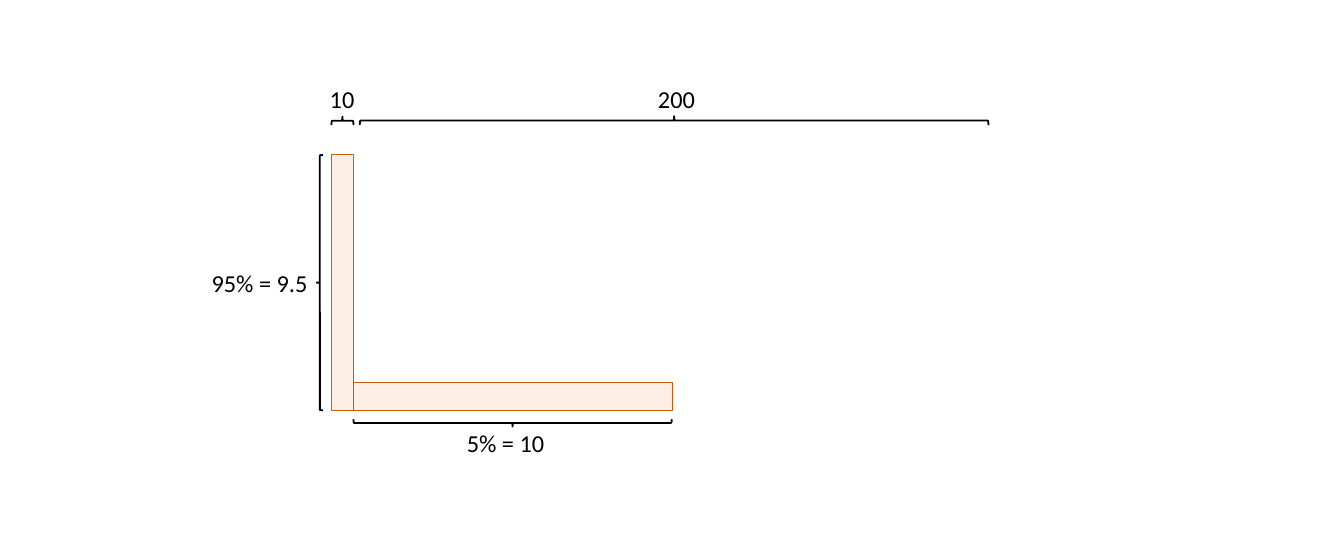
from lxml.etree import SubElement
from pptx import Presentation
from pptx.dml.color import RGBColor
from pptx.enum.shapes import MSO_SHAPE as Preset
from pptx.enum.text import MSO_AUTO_SIZE as AutoSize
from pptx.oxml.ns import qn
from pptx.util import Inches, Pt


def colour(code):
    return RGBColor.from_string(code)


class Diagram:
    """Holds the style and the current slide of the area diagram."""

    font = "Calibri"
    text_size = 33.3
    ink = "000000"
    bar_fill = "F4B183"
    bar_line = "C55A11"
    bar_opacity = 21

    def __init__(self, page):
        self.page = page

    def shape(self, preset, place, line, weight):
        shape = self.page.shapes.add_shape(preset, *map(Inches, place))
        shape.shadow.inherit = False
        shape.line.color.rgb = colour(line)
        shape.line.width = Pt(weight)
        return shape

    def bar(self, *place):
        bar = self.shape(Preset.RECTANGLE, place, self.bar_line, 1)
        bar.fill.solid()
        bar.fill.fore_color.rgb = colour(self.bar_fill)
        tint = bar.fill._xPr.find(qn("a:solidFill"))[0]
        SubElement(tint, qn("a:alpha"), val=str(self.bar_opacity * 1000))

    def brace(self, *place, turn=0):
        brace = self.shape(Preset.LEFT_BRACE, place, self.ink, 2.5)
        brace.fill.background()
        brace.rotation = turn

    def label(self, text, left, top, width, height=0.66):
        box = self.page.shapes.add_textbox(*map(Inches, (left, top, width, height)))
        frame = box.text_frame
        frame.word_wrap = True
        frame.auto_size = AutoSize.SHAPE_TO_FIT_TEXT
        run = frame.paragraphs[0].add_run()
        run.text = text
        run.font.name = self.font
        run.font.size = Pt(self.text_size)
        run.font.color.rgb = colour(self.ink)


def main():
    deck = Presentation()
    deck.slide_width = Inches(25.59)
    deck.slide_height = Inches(10.24)
    diagram = Diagram(deck.slides.add_slide(deck.slide_layouts[6]))

    diagram.bar(6.31, 2.93, 0.42, 4.88)
    diagram.brace(6.44, 2.09, 0.16, 0.42, turn=90)
    diagram.label("10", 6.18, 1.56, 0.84)
    diagram.brace(12.75, -3.69, 0.17, 11.97, turn=90)
    diagram.label("200", 12.43, 1.56, 1.12)
    diagram.brace(6.03, 2.95, 0.12, 4.86)
    diagram.label("95% = 9.5", 3.93, 5.06, 2.08)
    diagram.bar(6.73, 7.28, 6.07, 0.53)
    diagram.brace(9.69, 5.02, 0.14, 6.06, turn=270)
    diagram.label("5% = 10", 8.79, 8.11, 2.08)

    deck.save("out.pptx")


if __name__ == "__main__":
    main()
